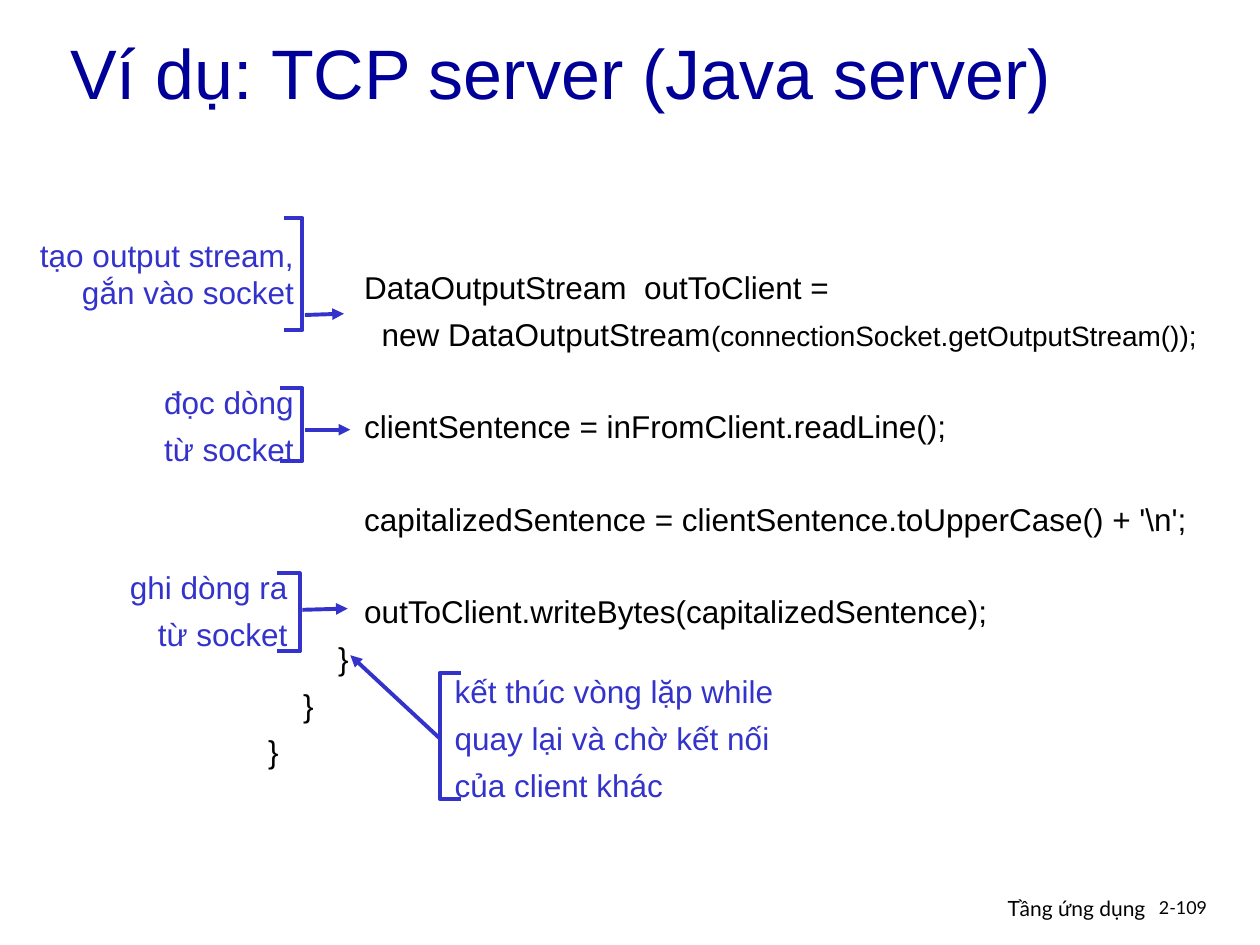
"""Build the slide that annotates the Java TCP server example."""
from dataclasses import dataclass

from lxml import etree
from pptx import Presentation
from pptx import util as u
from pptx.dml.color import RGBColor
from pptx.enum import shapes, text
from pptx.oxml.ns import qn

BLACK = RGBColor(0x00, 0x00, 0x00)
NAVY = RGBColor(0x00, 0x00, 0x99)
BLUE = RGBColor(0x33, 0x33, 0xCC)
LEFT, RIGHT = text.PP_ALIGN.LEFT, text.PP_ALIGN.RIGHT
TOP, MIDDLE = text.MSO_ANCHOR.TOP, text.MSO_ANCHOR.MIDDLE
LINE_WIDTH = u.Pt(2.25)
LINE_GAP = 5.2
BLANK_ROW = 25.9


@dataclass(frozen=True)
class TextBlock:
    lines: tuple[str, ...]
    left: float
    top: float
    width: float
    height: float
    size: float = 18
    color: RGBColor = BLUE
    align: text.PP_ALIGN = LEFT
    anchor: text.MSO_ANCHOR = MIDDLE
    font: str = "Arial"
    wrap: bool = False


@dataclass(frozen=True)
class Bracket:
    tip: float
    spine: float
    top: float
    bottom: float


@dataclass(frozen=True)
class Arrow:
    start: tuple[float, float]
    end: tuple[float, float]


STREAM_CALL = "(connectionSocket.getOutputStream());"
INDENT = " " * 11
CODE = TextBlock(
    (
        INDENT + "DataOutputStream  outToClient =",
        INDENT + "  new DataOutputStream",
        INDENT + "clientSentence = inFromClient.readLine();",
        INDENT + "capitalizedSentence = clientSentence.toUpperCase() + '\\n';",
        INDENT + "outToClient.writeBytes(capitalizedSentence);",
        "        }",
        "    }",
        "}",
    ),
    2.03, 2.08, 7.64, 3.98, color=BLACK, anchor=TOP,
)
STREAM_ROW = 1
ROWS_AFTER_BLANK = (2, 3, 4)

TEXTS = (
    TextBlock(("2-109",), 9.1, 7.07, 0.74, 0.3, 10.2, BLACK, anchor=TOP, font="Lato"),
    TextBlock(("Ví dụ: TCP server (Java server)",), 0.46, 0.1, 8.5, 0.94, 40, NAVY, wrap=True),
    TextBlock(("Tầng ứng dụng",), 6.02, 7.06, 3.17, 0.31, 12, BLACK, RIGHT, TOP, "Lato", True),
    TextBlock(("đọc dòng", "từ socket"), 1.2, 2.99, 1.23, 0.77, align=RIGHT),
    TextBlock(("tạo output stream, gắn vào socket",), 0.14, 1.82, 2.29, 0.7, align=RIGHT, wrap=True),
    TextBlock(("ghi dòng ra", "từ socket"), 0.93, 4.46, 1.45, 0.77, align=RIGHT),
    TextBlock(("kết thúc vòng lặp while", "quay lại và chờ kết nối", "của client khác"),
              3.51, 5.29, 2.77, 1.13),
)
BRACKETS = (
    Bracket(2.22, 2.4, 3.08, 3.66),
    Bracket(2.25, 2.4, 1.73, 2.62),
    Bracket(2.2, 2.38, 4.55, 5.17),
    Bracket(3.66, 3.49, 5.34, 6.34),
)
ARROWS = (
    Arrow((2.42, 3.41), (2.78, 3.41)),
    Arrow((2.42, 2.5), (2.73, 2.49)),
    Arrow((2.4, 4.84), (2.76, 4.83)),
    Arrow((3.49, 5.86), (2.78, 5.2)),
)


def style_span(span, block: TextBlock, size: float) -> None:
    span.font.name = block.font
    span.font.size = u.Pt(size)
    span.font.color.rgb = block.color


def draw_text(slide, block: TextBlock):
    box = slide.shapes.add_textbox(
        *map(u.Inches, (block.left, block.top, block.width, block.height)))
    frame = box.text_frame
    frame.text = "\n".join(block.lines)
    frame.word_wrap = block.wrap
    frame.vertical_anchor = block.anchor
    for row, para in enumerate(frame.paragraphs):
        para.alignment = block.align
        para.space_before = u.Pt(LINE_GAP if row else 0)
        for span in para.runs:
            style_span(span, block, block.size)
    return box


def draw_code(slide) -> None:
    paras = draw_text(slide, CODE).text_frame.paragraphs
    for row in ROWS_AFTER_BLANK:
        paras[row].space_before = u.Pt(LINE_GAP + BLANK_ROW)
    span = paras[STREAM_ROW].add_run()
    span.text = STREAM_CALL
    style_span(span, CODE, 16)


def draw_bracket(slide, bracket: Bracket) -> None:
    tip, spine, top, bottom = map(
        u.Inches, (bracket.tip, bracket.spine, bracket.top, bracket.bottom))
    builder = slide.shapes.build_freeform(tip, top)
    builder.add_line_segments([(spine, top), (spine, bottom), (tip, bottom)], close=False)
    shape = builder.convert_to_shape()
    shape.shadow.inherit = False
    shape.fill.background()
    shape.line.color.rgb = BLUE
    shape.line.width = LINE_WIDTH


def draw_arrow(slide, arrow: Arrow) -> None:
    connector = slide.shapes.add_connector(
        shapes.MSO_CONNECTOR.STRAIGHT, *map(u.Inches, arrow.start + arrow.end))
    connector.line.color.rgb = BLUE
    connector.line.width = LINE_WIDTH
    etree.SubElement(connector.line._get_or_add_ln(), qn("a:tailEnd"), type="triangle")
    etree.SubElement(connector._element.spPr, qn("a:effectLst"))


def main() -> None:
    deck = Presentation()
    deck.slide_width, deck.slide_height = u.Inches(10), u.Inches(7.5)
    slide = deck.slides.add_slide(deck.slide_layouts[6])
    draw_code(slide)
    for block in TEXTS:
        draw_text(slide, block)
    for bracket in BRACKETS:
        draw_bracket(slide, bracket)
    for arrow in ARROWS:
        draw_arrow(slide, arrow)
    deck.save("out.pptx")


if __name__ == "__main__":
    main()
